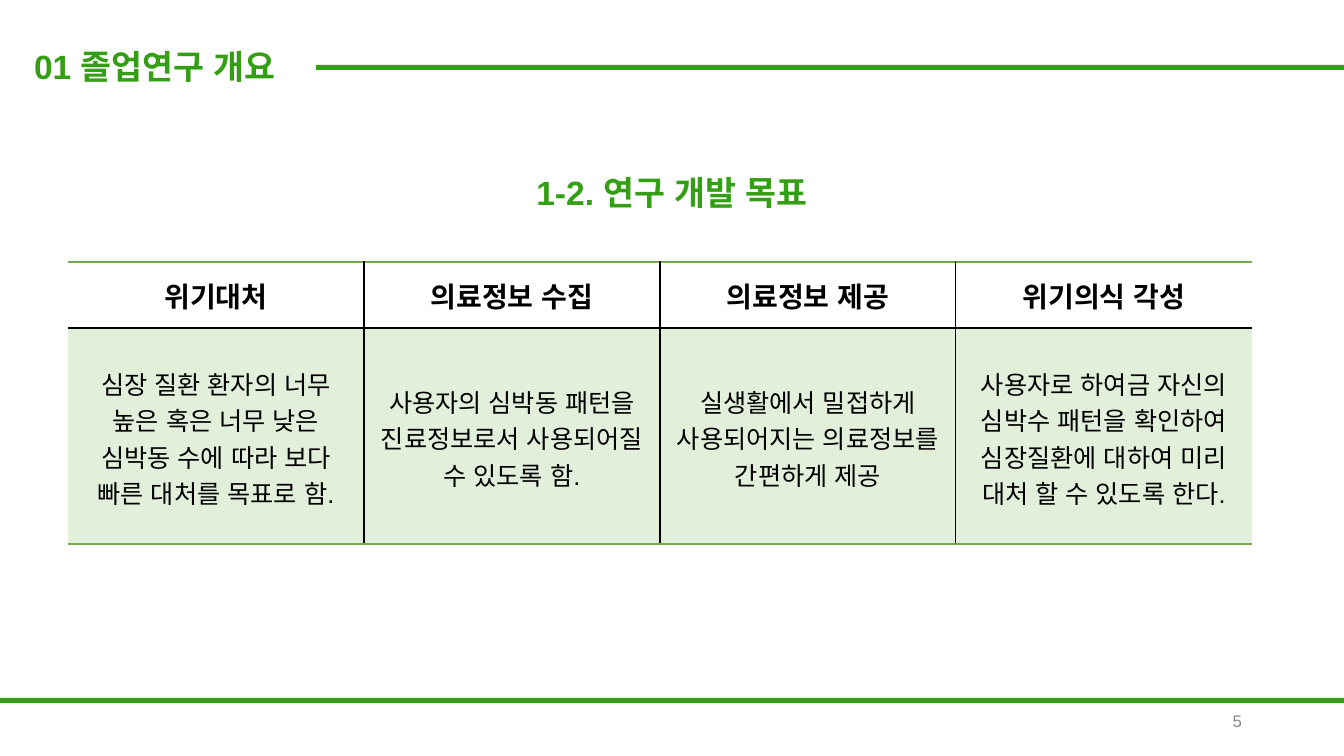
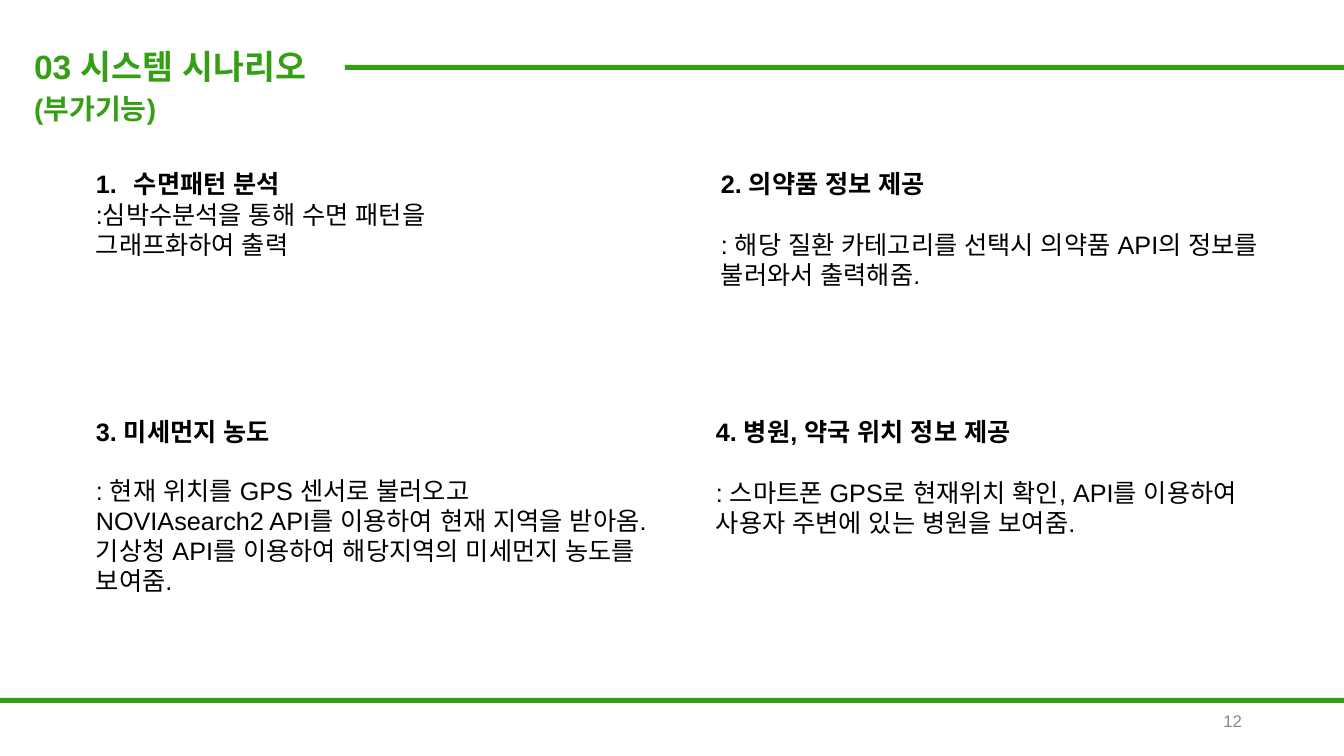
"""Build two slides of a graduation project deck: research goals and extra features."""
from lxml.etree import SubElement
from pptx import Presentation
from pptx.dml.color import RGBColor
from pptx.enum.lang import MSO_LANGUAGE_ID
from pptx.enum.shapes import MSO_SHAPE
from pptx.enum.text import MSO_ANCHOR, MSO_AUTO_SIZE, PP_ALIGN
from pptx.oxml.ns import qn
from pptx.util import Emu, Pt

SLIDE_W, SLIDE_H = 1344, 756
EMU_PER_PX = 12192000 / SLIDE_W
FONT = "Arial"
GREEN = RGBColor(0x34, 0x9F, 0x14)
LEAF = RGBColor(0x70, 0xAD, 0x47)
PALE = RGBColor(0xE2, 0xEF, 0xDA)
BLACK = RGBColor(0, 0, 0)
WHITE = RGBColor(0xFF, 0xFF, 0xFF)
GREY = RGBColor(0x88, 0x88, 0x88)

GOALS = [
    ("위기대처", "심장 질환 환자의 너무 높은 혹은 너무 낮은 심박동 수에 따라 보다 빠른 대처를 목표로 함."),
    ("의료정보 수집", "사용자의 심박동 패턴을 진료정보로서 사용되어질 수 있도록 함."),
    ("의료정보 제공", "실생활에서 밀접하게 사용되어지는 의료정보를 간편하게 제공"),
    ("위기의식 각성", "사용자로 하여금 자신의 심박수 패턴을 확인하여 심장질환에 대하여 미리 대처 할 수 있도록 한다."),
]
FEATURES = [
    ((86, 164, 390, 194), "수면패턴 분석", 0, [":심박수분석을 통해 수면 패턴을 그래프화하여 출력"]),
    ((711, 164, 568, 194), "2. 의약품 정보 제공", 22,
     [": 해당 질환 카테고리를 선택시 의약품 API의 정보를 불러와서 출력해줌."]),
    ((86, 412, 605, 244), "3. 미세먼지 농도", 20,
     [": 현재 위치를 GPS 센서로 불러오고",
      "NOVIAsearch2 API를 이용하여 현재 지역을 받아옴.",
      "기상청 API를 이용하여 해당지역의 미세먼지 농도를 보여줌."]),
    ((706, 412, 577, 224), "4. 병원, 약국 위치 정보 제공", 22,
     [": 스마트폰 GPS로 현재위치 확인, API를 이용하여 사용자 주변에 있는 병원을 보여줌."]),
]


def px(n):
    """Turn pixels into EMU."""
    return Emu(round(n * EMU_PER_PX))


def write(p, text, size=18, color=BLACK, bold=False, align=PP_ALIGN.LEFT, line=None, before=0):
    """Add a formatted run to a paragraph."""
    p.alignment = align
    p.space_before = Pt(before)
    if line:
        p.line_spacing = Pt(line)
    r = p.add_run()
    r.text = text
    font = r.font
    font.name, font.size, font.bold = FONT, Pt(size), bold
    font.color.rgb = color
    font.language_id = MSO_LANGUAGE_ID.KOREAN
    SubElement(r._r.rPr, qn("a:ea"), typeface=FONT)


def add_text(slide, box, anchor=MSO_ANCHOR.TOP):
    """Add a wrapping text box and return its text frame."""
    tf = slide.shapes.add_textbox(*map(px, box)).text_frame
    tf.word_wrap = True
    tf.vertical_anchor = anchor
    return tf


def add_bar(slide, x, y):
    """Add a green bar from x to the right edge of the slide."""
    sp = slide.shapes.add_shape(MSO_SHAPE.RECTANGLE, px(x), px(y), px(SLIDE_W - x), px(5))
    sp.shadow.inherit = False
    sp.fill.solid()
    sp.fill.fore_color.rgb = GREEN
    sp.line.fill.background()


def add_page(prs, title, bar_x, number, subtitle=None):
    """Add a slide with its title, two bars and page number."""
    slide = prs.slides.add_slide(prs.slide_layouts[5])
    sp = slide.shapes.title
    sp.left, sp.top, sp.width, sp.height = map(px, (24, 42, bar_x - 24, 90 if subtitle else 50))
    tf = sp.text_frame
    tf.word_wrap = True
    tf.auto_size = MSO_AUTO_SIZE.NONE
    tf.vertical_anchor = MSO_ANCHOR.TOP
    p = tf.paragraphs[0]
    write(p, title, size=24, color=GREEN, bold=True, line=28)
    if subtitle:
        p.add_line_break()
        write(p, subtitle, size=20, color=GREEN, bold=True, line=28)
    add_bar(slide, bar_x, 65)
    add_bar(slide, 0, 698)
    tf = add_text(slide, (950, 701, 302, 40), anchor=MSO_ANCHOR.MIDDLE)
    write(tf.paragraphs[0], str(number), size=12, color=GREY, align=PP_ALIGN.RIGHT)
    return slide


def set_border(cell, side, color):
    """Draw one cell border, or hide it when color is None."""
    ln = SubElement(cell._tc.get_or_add_tcPr(), qn(f"a:ln{side}"), w=str(Pt(1)))
    if color is None:
        SubElement(ln, qn("a:noFill"))
    else:
        SubElement(SubElement(ln, qn("a:solidFill")), qn("a:srgbClr"), val=str(color))


def add_goal_table(slide, goals):
    """Add the table with one column for each goal."""
    heights, col_w = (66, 216), 296
    table = slide.shapes.add_table(len(heights), len(goals), px(68), px(262),
                                   px(col_w * len(goals)), px(sum(heights))).table
    table.first_row = table.horz_banding = False
    for row, height in zip(table.rows, heights):
        row.height = px(height)
    last = len(goals) - 1
    for col, texts in enumerate(goals):
        table.columns[col].width = px(col_w)
        for row, text in enumerate(texts):
            head = row == 0
            cell = table.cell(row, col)
            set_border(cell, "L", BLACK if col > 0 else None)
            set_border(cell, "R", BLACK if col < last else None)
            set_border(cell, "T", LEAF if head else BLACK)
            set_border(cell, "B", BLACK if head else LEAF)
            cell.fill.solid()
            cell.fill.fore_color.rgb = WHITE if head else PALE
            cell.vertical_anchor = MSO_ANCHOR.MIDDLE
            write(cell.text_frame.paragraphs[0], text, size=20 if head else 18,
                  bold=head, align=PP_ALIGN.CENTER, line=26)


def number_paragraph(p, indent):
    """Give a paragraph an automatic number with a hanging indent."""
    pPr = p._p.get_or_add_pPr()
    pPr.set("marL", str(px(indent)))
    pPr.set("indent", str(-px(indent)))
    SubElement(pPr, qn("a:buFont"), typeface=FONT)
    SubElement(pPr, qn("a:buAutoNum"), type="arabicPeriod")


def add_feature(slide, box, heading, gap, lines):
    """Add a bold heading with its description lines below."""
    tf = add_text(slide, box)
    p = tf.paragraphs[0]
    write(p, heading, bold=True, line=21.5)
    if not heading[0].isdigit():
        number_paragraph(p, 38)
    for i, text in enumerate(lines):
        write(tf.add_paragraph(), text, line=21.5, before=0 if i else gap)


def main():
    """Build and save the deck."""
    prs = Presentation()
    prs.slide_width, prs.slide_height = px(SLIDE_W), px(SLIDE_H)

    slide = add_page(prs, "01 졸업연구 개요", 316, 5)
    tf = add_text(slide, (511, 168, 322, 60))
    write(tf.paragraphs[0], "1-2. 연구 개발 목표", size=24, color=GREEN, bold=True,
          align=PP_ALIGN.CENTER, line=28)
    add_goal_table(slide, GOALS)

    slide = add_page(prs, "03 시스템 시나리오", 345, 12, subtitle="(부가기능)")
    for feature in FEATURES:
        add_feature(slide, *feature)

    prs.save("out.pptx")


if __name__ == "__main__":
    main()
